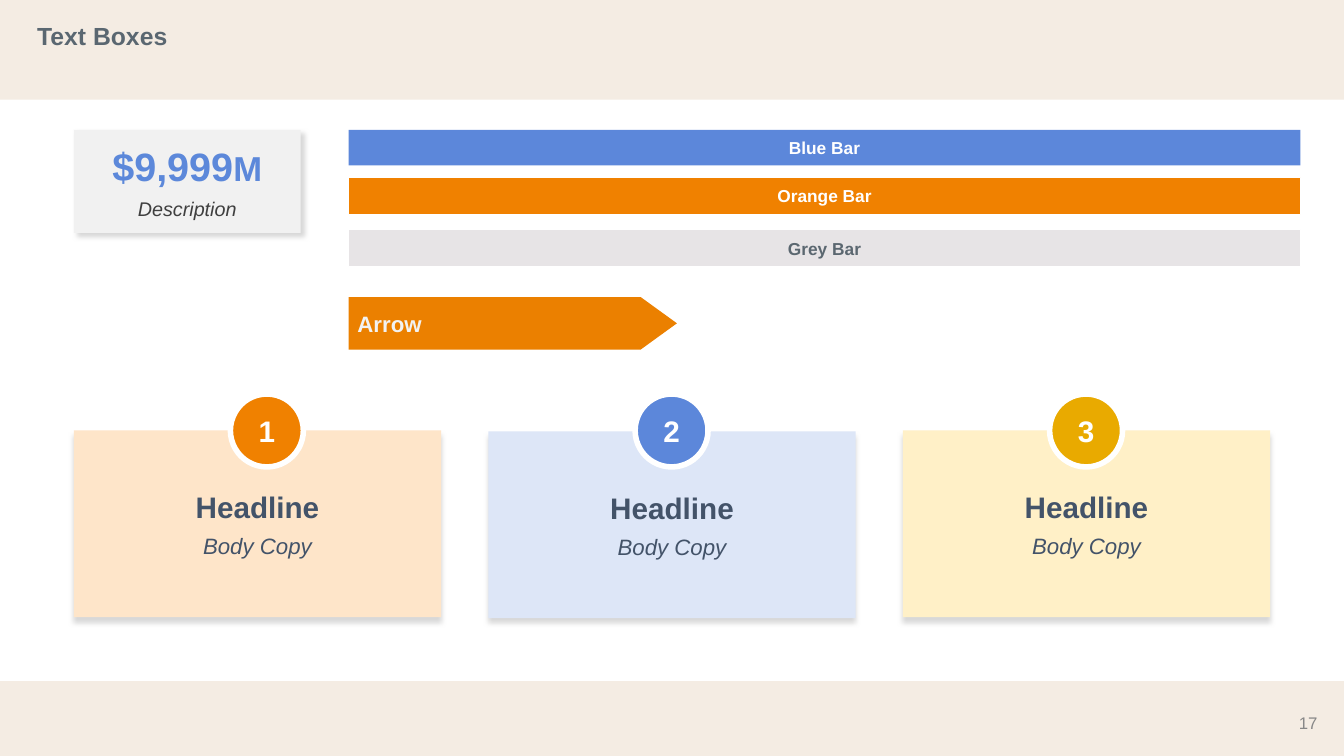
from dataclasses import dataclass
from typing import NamedTuple

from lxml.etree import SubElement
from pptx import Presentation
from pptx.dml.color import RGBColor
from pptx.enum.shapes import MSO_SHAPE
from pptx.enum.text import MSO_ANCHOR, PP_ALIGN
from pptx.oxml.ns import qn
from pptx.util import Pt

SCALE = 9144  # EMU per px, 100 px to the inch
WIDTH, HEIGHT = 1511, 850
SAND, WHITE, ORANGE, BLUE = "F4ECE3", "FFFFFF", "F08100", "5C87DA"
SLATE = "435369"
BOLD = {"bold": True}
ITALIC = {"italic": True}
PAD = (10, 5)
TIGHT = (0, 0)


class Box(NamedTuple):
    left: int
    top: int
    width: int
    height: int


class Run(NamedTuple):
    text: str
    size: float
    color: str
    style: dict = BOLD


@dataclass
class Bar:
    label: str
    box: Box
    fill: str
    ink: str = WHITE
    edge: float = 0.75
    pad: tuple = TIGHT


@dataclass
class Card:
    num: str
    left: int
    top: int
    disc: int
    tint: str
    fill: str


BARS = [
    Bar("Blue Bar", Box(392, 146, 1070, 40), BLUE, edge=0, pad=PAD),
    Bar("Grey Bar", Box(392, 258, 1070, 42), "E7E4E6", "5B6770"),
    Bar("Orange Bar", Box(392, 199, 1070, 42), ORANGE),
]
CARDS = [
    Card("1", 83, 484, 259, "FEE5C9", ORANGE),
    Card("2", 549, 485, 714, "DDE6F7", BLUE),
    Card("3", 1015, 484, 1180, "FFF0C7", "E9AA00"),
]


def emu(box: Box) -> list[int]:
    return [n * SCALE for n in box]


def rgb(code: str) -> RGBColor:
    return RGBColor.from_string(code)


def write(shape, rows: list[list[Run]], align=PP_ALIGN.CENTER, pad=PAD) -> None:
    """Fill the shape with one paragraph per row of runs."""
    frame = shape.text_frame
    side, edge = (n * SCALE for n in pad)
    form = {
        "word_wrap": True, "vertical_anchor": MSO_ANCHOR.MIDDLE,
        "margin_left": side, "margin_right": side,
        "margin_top": edge, "margin_bottom": edge,
    }
    for key, value in form.items():
        setattr(frame, key, value)
    for i, row in enumerate(rows):
        para = frame.add_paragraph() if i else frame.paragraphs[0]
        para.alignment = align
        if i:
            para.space_before = Pt(6)
        for item in row:
            run = para.add_run()
            run.text = item.text
            run.font.color.rgb = rgb(item.color)
            look = {"name": "Arial", "size": Pt(item.size), **item.style}
            for key, value in look.items():
                setattr(run.font, key, value)


def draw(slide, kind: MSO_SHAPE, box: Box, fill: str, edge: float = 0):
    """Add a flat shape, with a white outline if edge is set."""
    shape = slide.shapes.add_shape(kind, *emu(box))
    shape.shadow.inherit = False
    shape.fill.solid()
    shape.fill.fore_color.rgb = rgb(fill)
    if edge:
        shape.line.color.rgb = rgb(WHITE)
        shape.line.width = Pt(edge)
    else:
        shape.line.fill.background()
    return shape


def shade(shape, angle: int) -> None:
    """Cast a soft grey shadow in the given direction, in degrees."""
    effects = shape._element.spPr.find(qn("a:effectLst"))
    outer = SubElement(
        effects, qn("a:outerShdw"), blurRad=str(Pt(4)), dist=str(Pt(4)),
        dir=str(angle * 60000), algn="t", rotWithShape="0")
    SubElement(outer, qn("a:srgbClr"), val="D8D8D8")


def label(slide, box: Box, run: Run, align: PP_ALIGN):
    shape = slide.shapes.add_textbox(*emu(box))
    write(shape, [[run]], align)
    return shape


def add_bar(slide, bar: Bar) -> None:
    shape = draw(slide, MSO_SHAPE.RECTANGLE, bar.box, bar.fill, bar.edge)
    write(shape, [[Run(bar.label, 14, bar.ink)]], pad=bar.pad)


def add_card(slide, card: Card) -> None:
    box = Box(card.left, card.top, 413, 210)
    panel = draw(slide, MSO_SHAPE.RECTANGLE, box, card.tint)
    shade(panel, 90)
    write(panel, [[Run("Headline", 24, SLATE)],
                  [Run("Body Copy", 18, SLATE, ITALIC)]])
    disc = draw(slide, MSO_SHAPE.OVAL, Box(card.disc, 443, 82, 82), card.fill, 4.5)
    write(disc, [[Run(card.num, 24, WHITE)]])


def main() -> None:
    deck = Presentation()
    deck.slide_width, deck.slide_height = WIDTH * SCALE, HEIGHT * SCALE
    slide = deck.slides.add_slide(deck.slide_layouts[6])

    for top, height in ((766, 84), (0, 112)):
        draw(slide, MSO_SHAPE.RECTANGLE, Box(0, top, WIDTH, height), SAND)
    label(slide, Box(1436, 802, 55, 21), Run("17", 13.6, "888888", {}), PP_ALIGN.RIGHT)
    title = label(slide, Box(32, 5, 1303, 75),
                  Run("Text Boxes", 20, "5A6771"), PP_ALIGN.LEFT)
    title.text_frame.paragraphs[0].line_spacing = 0.9

    stat = draw(slide, MSO_SHAPE.RECTANGLE, Box(83, 146, 255, 116), "F1F1F1")
    shade(stat, 45)
    write(stat, [[Run("$9,999", 32, "5C88DA"), Run("M", 28, "5C88DA")],
                 [Run("Description", 16, "3F3F3F", ITALIC)]], pad=TIGHT)

    for card in CARDS:
        add_card(slide, card)
    for bar in BARS:
        add_bar(slide, bar)

    arrow = draw(slide, MSO_SHAPE.PENTAGON, Box(392, 334, 369, 59), "EB8000")
    arrow.adjustments[0] = 0.69
    write(arrow, [[Run("Arrow", 18, "F2F2F2")]], PP_ALIGN.LEFT)

    deck.save("out.pptx")


if __name__ == "__main__":
    main()
